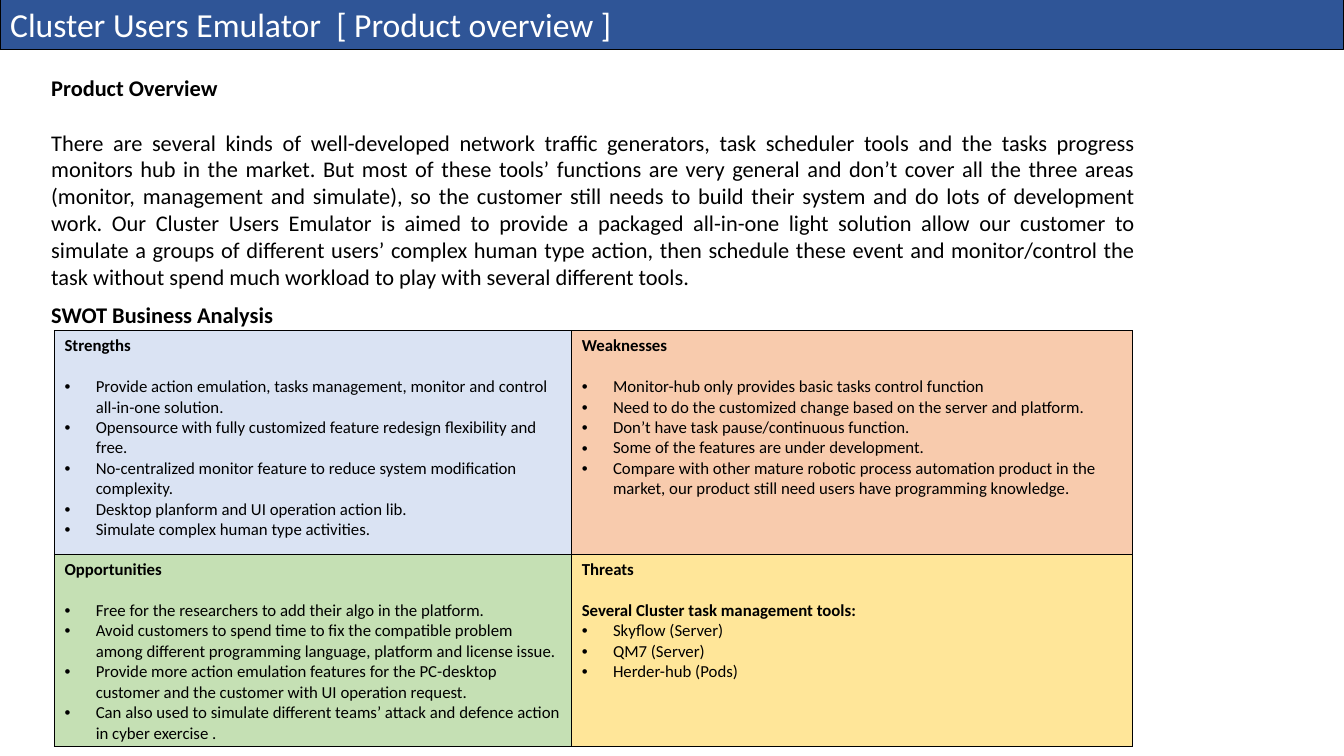
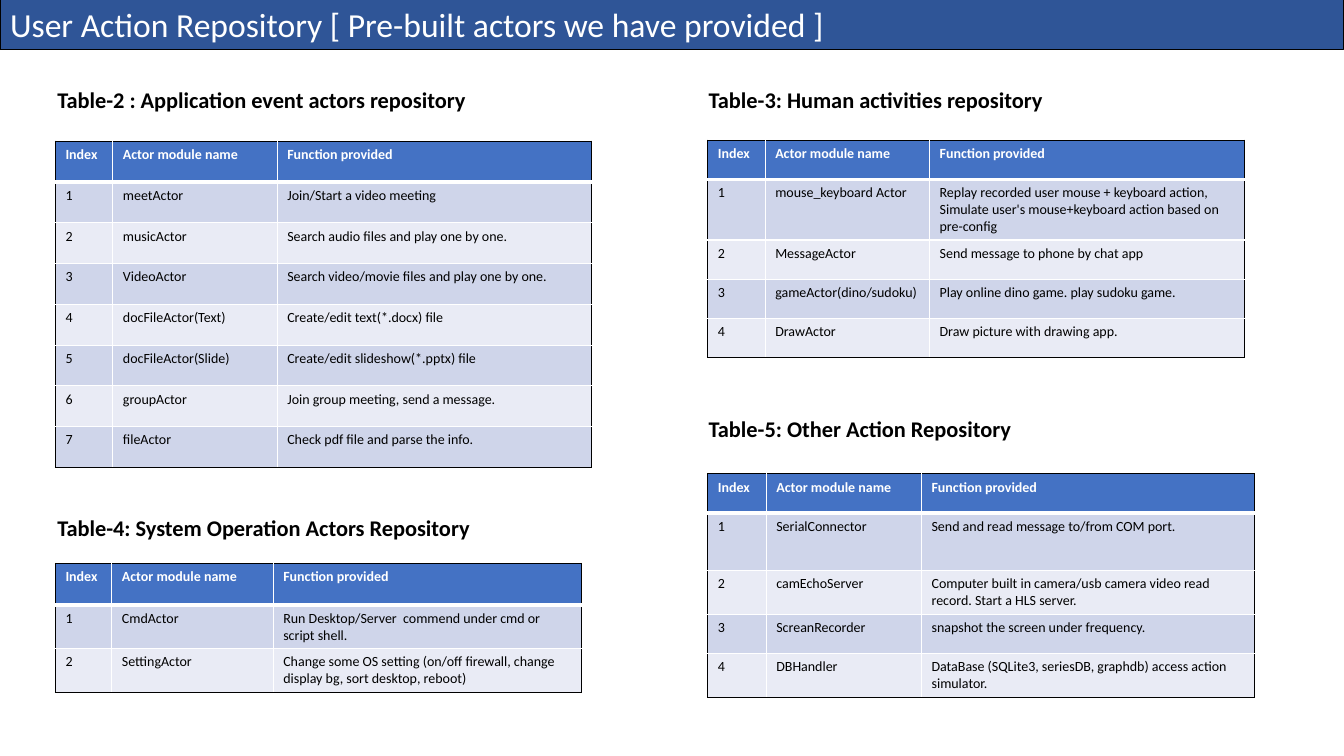
from dataclasses import dataclass

from lxml import etree
from pptx import Presentation
from pptx.dml.color import RGBColor
from pptx.enum.text import MSO_ANCHOR, MSO_AUTO_SIZE, PP_ALIGN
from pptx.oxml.ns import qn
from pptx.util import Inches, Pt

LEFT, JUSTIFY = PP_ALIGN.LEFT, PP_ALIGN.JUSTIFY
MIDDLE = MSO_ANCHOR.MIDDLE
NO_FIT = MSO_AUTO_SIZE.NONE


@dataclass(frozen=True)
class Theme:
    font: str = "Calibri"
    black: str = "000000"
    white: str = "FFFFFF"
    band: str = "2F5597"
    head: str = "4472C4"
    rows: tuple = ("CFD5EA", "E9EBF5")
    swot: tuple = ("DAE3F3", "F8CBAD", "C5E0B4", "FFE699")
    title: int = 24
    body: int = 16
    list: int = 12
    cell: int = 10


class Deck:
    def __init__(self, theme):
        self.theme = theme
        self.prs = Presentation()
        self.prs.slide_width = Inches(13.33)
        self.prs.slide_height = Inches(7.5)
        self.slide = None

    # Text
    def style(self, para, size, color=None, bold=False, align=LEFT):
        para.alignment = align
        font = para.font
        font.name, font.size, font.bold = self.theme.font, Pt(size), bold
        font.color.rgb = RGBColor.from_string(color or self.theme.black)

    def bullet(self, para):
        props = para._p.get_or_add_pPr()
        props.set("marL", str(Inches(0.31)))
        props.set("indent", str(-Inches(0.31)))
        etree.SubElement(props, qn("a:buFont"), typeface="Arial")
        etree.SubElement(props, qn("a:buChar"), char="•")

    def text(self, x, y, w, h, paras, align=LEFT, gap=0):
        """Add a box from (text, bold) pairs."""
        box = self.slide.shapes.add_textbox(
            Inches(x), Inches(y), Inches(w), Inches(h))
        frame = box.text_frame
        frame.word_wrap = True
        for i, (words, bold) in enumerate(paras):
            para = frame.paragraphs[0] if i == 0 else frame.add_paragraph()
            para.text = words
            self.style(para, self.theme.body, bold=bold, align=align)
            para.space_before = Pt(gap if i else 0)

    # Title band
    def page(self, words):
        self.slide = self.prs.slides.add_slide(self.prs.slide_layouts[5])
        band = self.slide.shapes.title
        band.left, band.top = 0, Inches(-0.01)
        band.width, band.height = self.prs.slide_width, Inches(0.5)
        band.fill.solid()
        band.fill.fore_color.rgb = RGBColor.from_string(self.theme.band)
        band.line.color.rgb = RGBColor.from_string(self.theme.black)
        band.line.width = Pt(0.75)
        frame = band.text_frame
        frame.text = words
        frame.auto_size, frame.vertical_anchor = NO_FIT, MIDDLE
        self.style(frame.paragraphs[0], self.theme.title, self.theme.white)

    # Tables
    def table(self, x, y, cols, rows):
        frame = self.slide.shapes.add_table(
            len(rows), len(cols), Inches(x), Inches(y),
            Inches(sum(cols)), Inches(sum(rows)))
        table = frame.table
        table.first_row = table.horz_banding = False
        for col, width in zip(table.columns, cols):
            col.width = Inches(width)
        for row, height in zip(table.rows, rows):
            row.height = Inches(height)
        return table

    def paint(self, cell, fill, edges):
        """Draw edges, given as side: (colour, points), then the fill."""
        props = cell._tc.get_or_add_tcPr()
        for side in "LRTB":
            color, width = edges[side]
            line = etree.SubElement(props, qn("a:ln" + side), w=str(Pt(width)))
            solid = etree.SubElement(line, qn("a:solidFill"))
            etree.SubElement(solid, qn("a:srgbClr"), val=color)
        cell.fill.solid()
        cell.fill.fore_color.rgb = RGBColor.from_string(fill)

    def swot(self, x, y, cols, rows, parts):
        """Fill a grid of (heading, subheading, items) parts."""
        table = self.table(x, y, cols, rows)
        edges = dict.fromkeys("LRTB", (self.theme.black, 1))
        for i, (head, sub, items) in enumerate(parts):
            cell = table.cell(*divmod(i, len(cols)))
            self.paint(cell, self.theme.swot[i], edges)
            lines = [head] + ([sub] if sub else [])
            bold = len(lines)
            frame = cell.text_frame
            for j, words in enumerate(lines + items):
                para = frame.paragraphs[0] if j == 0 else frame.add_paragraph()
                para.text = words
                if j >= bold:
                    self.bullet(para)
                self.style(para, self.theme.list, bold=j < bold)
                para.space_before = Pt(14.6 if j == 1 else 0)

    def actors(self, x, y, cols, rows, data):
        """Fill a numbered list of (name, use) pairs under a header row."""
        th = self.theme
        table = self.table(x, y, cols, rows)
        lines = [("Index", "Actor module name", "Function provided")]
        lines += [(str(n), *pair) for n, pair in enumerate(data, 1)]
        outer, inner = (th.black, 1), (th.white, 1)
        for r, line in enumerate(lines):
            top, last = r == 0, r == len(lines) - 1
            fill = th.head if top else th.rows[(r - 1) % 2]
            low = (th.white, 3) if top else outer if last else inner
            for c, words in enumerate(line):
                cell = table.cell(r, c)
                self.paint(cell, fill, {
                    "L": outer if c == 0 else inner,
                    "R": outer if c == len(cols) - 1 else inner,
                    "T": outer if top else inner,
                    "B": low})
                cell.text = words
                self.style(cell.text_frame.paragraphs[0], th.cell,
                           th.white if top else th.black, bold=top)


OVERVIEW = (
    "There are several kinds of well-developed network traffic generators, "
    "task scheduler tools and the tasks progress monitors hub in the market. "
    "But most of these tools’ functions are very general and don’t cover all "
    "the three areas (monitor, management and simulate), so the customer still "
    "needs to build their system and do lots of development work. Our Cluster "
    "Users Emulator is aimed to provide a packaged all-in-one light solution "
    "allow our customer to simulate a groups of different users’ complex human "
    "type action, then schedule these event and monitor/control the task "
    "without spend much workload to play with several different tools.")

SWOT = [
    ("Strengths", None, [
        "Provide action emulation, tasks management, monitor and control "
        "all-in-one solution.",
        "Opensource with fully customized feature redesign flexibility and free.",
        "No-centralized monitor feature to reduce system modification complexity.",
        "Desktop planform and UI operation action lib.",
        "Simulate complex human type activities."]),
    ("Weaknesses", None, [
        "Monitor-hub only provides basic tasks control function",
        "Need to do the customized change based on the server and platform.",
        "Don’t have task pause/continuous function.",
        "Some of the features are under development.",
        "Compare with other mature robotic process automation product in the "
        "market, our product still need users have programming knowledge."]),
    ("Opportunities", None, [
        "Free for the researchers to add their algo in the platform.",
        "Avoid customers to spend time to fix the compatible problem among "
        "different programming language, platform and license issue.",
        "Provide more action emulation features for the PC-desktop customer "
        "and the customer with UI operation request.",
        "Can also used to simulate different teams’ attack and defence action "
        "in cyber exercise ."]),
    ("Threats", "Several Cluster task management tools:", [
        "Skyflow (Server)", "QM7 (Server)", "Herder-hub (Pods)"]),
]

# Heading, heading place, table place, columns, rows, entries
LISTS = [
    ("Table-2 : Application event actors repository", (0.47, 0.81),
     (0.55, 1.4), (0.57, 1.63, 3.12), [3.24 / 8] * 8, [
         ("meetActor", "Join/Start a video meeting"),
         ("musicActor", "Search audio files and play one by one."),
         ("VideoActor", "Search video/movie files and play one by one."),
         ("docFileActor(Text)", "Create/edit text(*.docx) file"),
         ("docFileActor(Slide)", "Create/edit slideshow(*.pptx) file"),
         ("groupActor", "Join group meeting, send a message."),
         ("fileActor", "Check pdf file and parse the info.")]),
    ("Table-3: Human activities repository", (6.93, 0.81),
     (7.02, 1.39), (0.57, 1.63, 3.12), [0.39, 0.57] + [0.39] * 3, [
         ("mouse_keyboard Actor",
          "Replay recorded user mouse + keyboard action, Simulate user's "
          "mouse+keyboard action based on pre-config"),
         ("MessageActor", "Send message to phone by chat app"),
         ("gameActor(dino/sudoku)", "Play online dino game. play sudoku game."),
         ("DrawActor", "Draw picture with drawing app.")]),
    ("Table-4: System Operation Actors Repository", (0.47, 5.05),
     (0.55, 5.59), (0.56, 1.6, 3.06), [0.41] * 3, [
         ("CmdActor",
          "Run Desktop/Server  commend under cmd or script shell."),
         ("SettingActor",
          "Change some OS setting (on/off firewall, change display bg, sort "
          "desktop, reboot)")]),
    ("Table-5: Other Action Repository", (6.93, 4.07),
     (7.02, 4.7), (0.58, 1.54, 3.3), [0.39, 0.57] + [0.39] * 3, [
         ("SerialConnector", "Send and read message to/from COM port."),
         ("camEchoServer",
          "Computer built in camera/usb camera video read record. Start a HLS "
          "server."),
         ("ScreanRecorder", "snapshot the screen under frequency."),
         ("DBHandler",
          "DataBase (SQLite3, seriesDB, graphdb) access action simulator.")]),
]


def main():
    deck = Deck(Theme())

    # Product overview
    deck.page("Cluster Users Emulator  [ Product overview ]")
    deck.text(0.41, 0.69, 10.95, 2.26,
              [("Product Overview", True), (OVERVIEW, False)], JUSTIFY, 19.5)
    deck.swot(0.54, 3.28, (5.13, 5.56), (2.22, 1.83), SWOT)
    deck.text(0.41, 2.94, 3.94, 0.37, [("SWOT Business Analysis", True)])

    # Actor repository
    deck.page("User Action Repository [ Pre-built actors we have provided ]")
    for head, spot, place, cols, rows, data in LISTS:
        deck.text(*spot, 4.67, 0.37, [(head, True)])
        deck.actors(*place, cols, rows, data)

    deck.prs.save("out.pptx")


if __name__ == "__main__":
    main()
